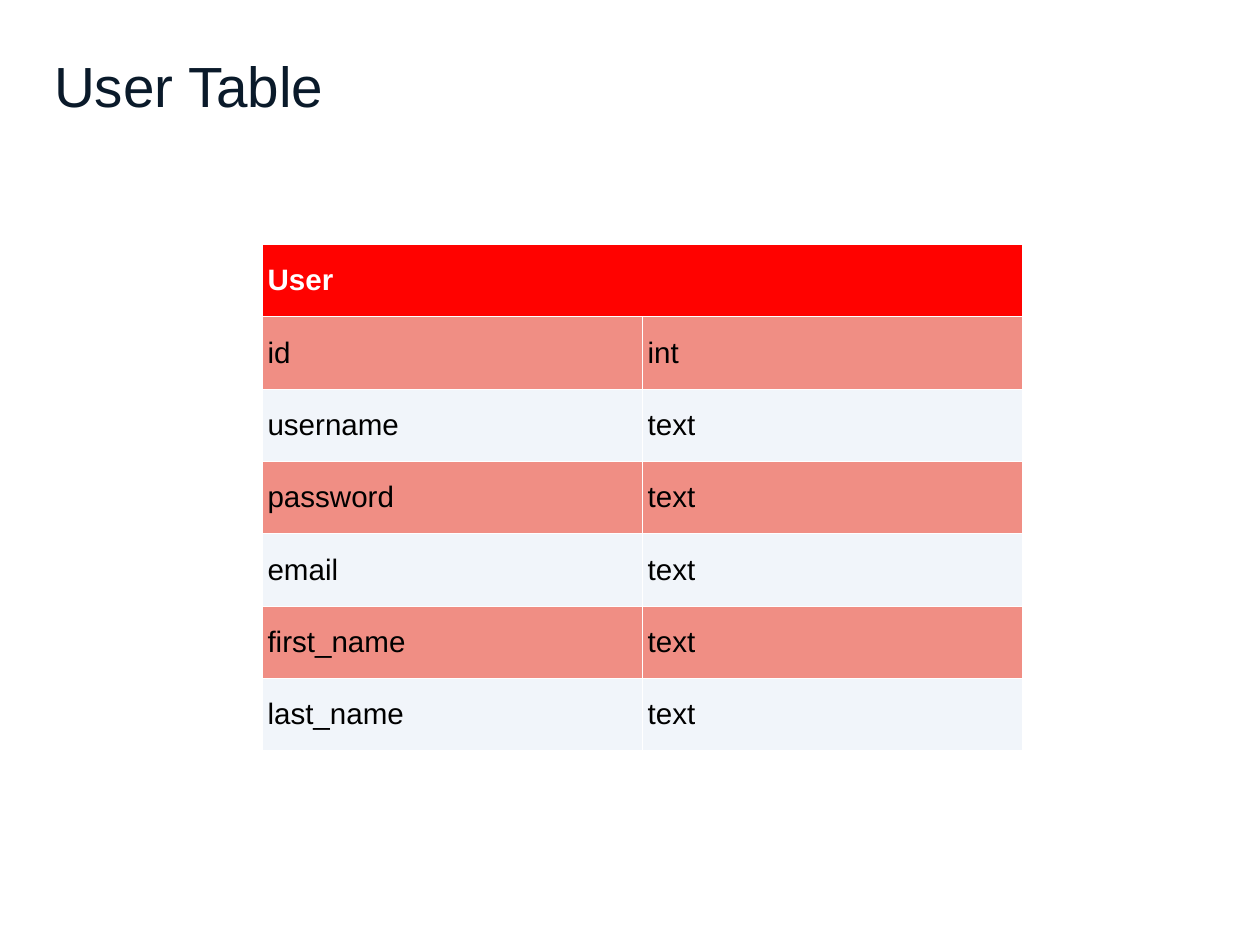
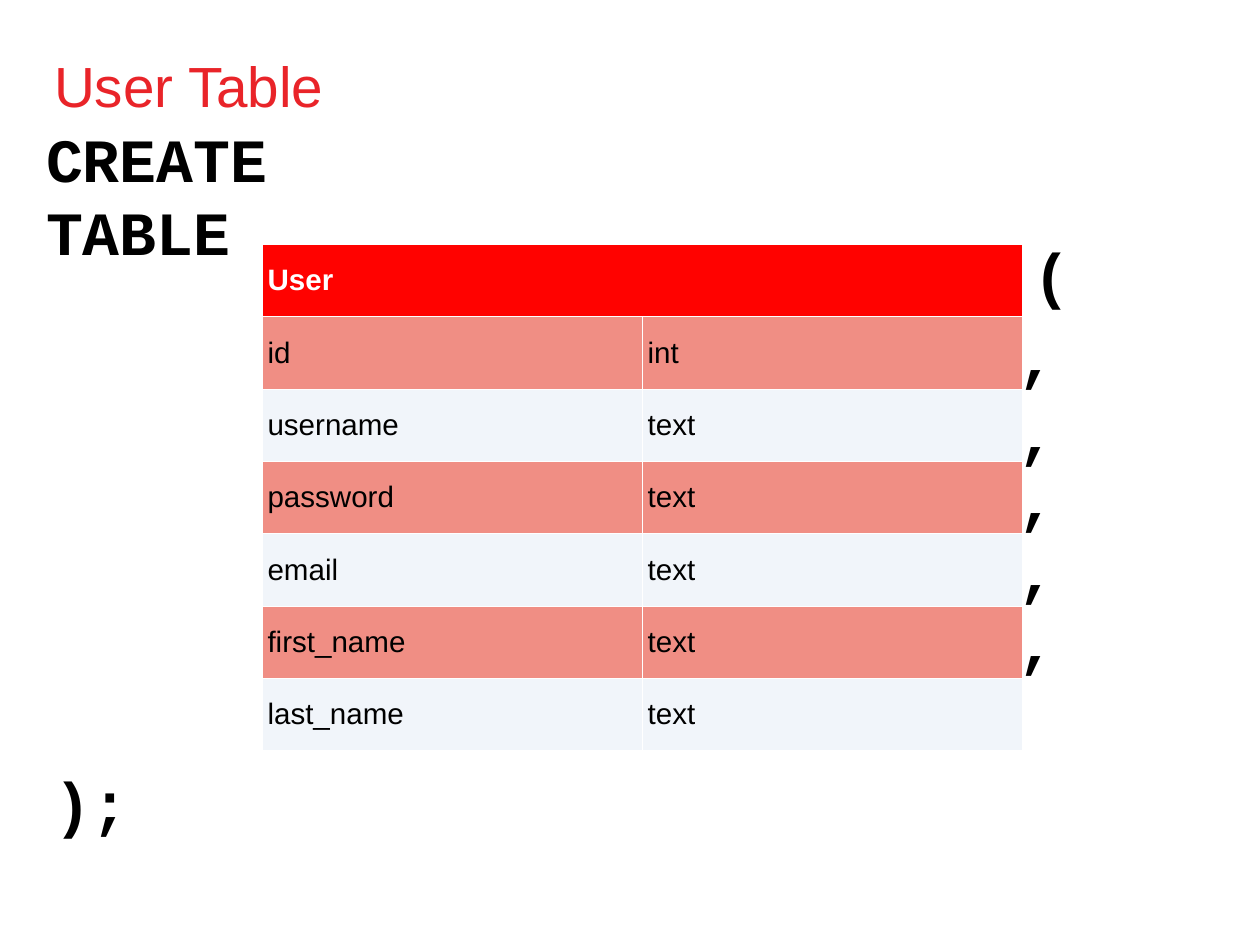
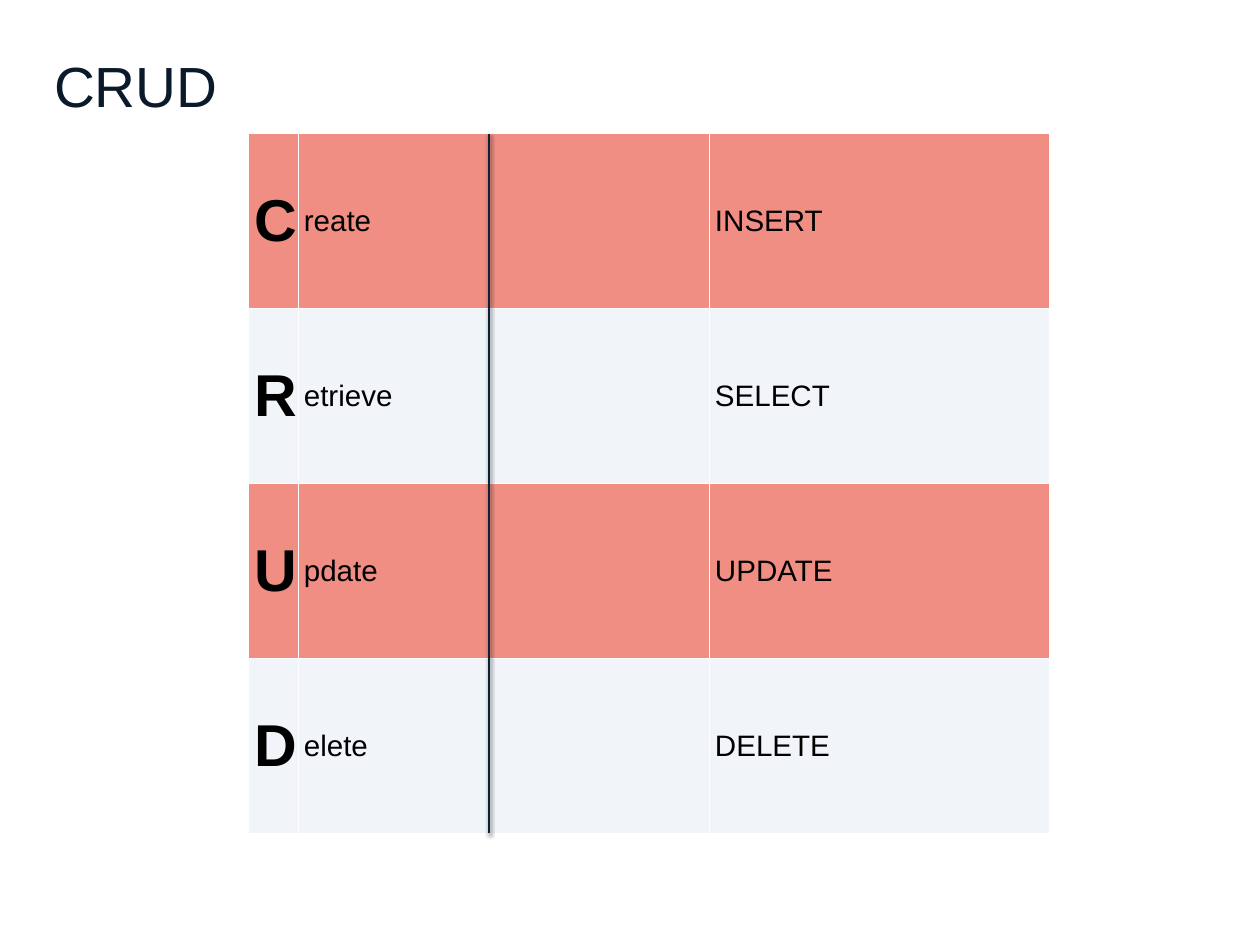
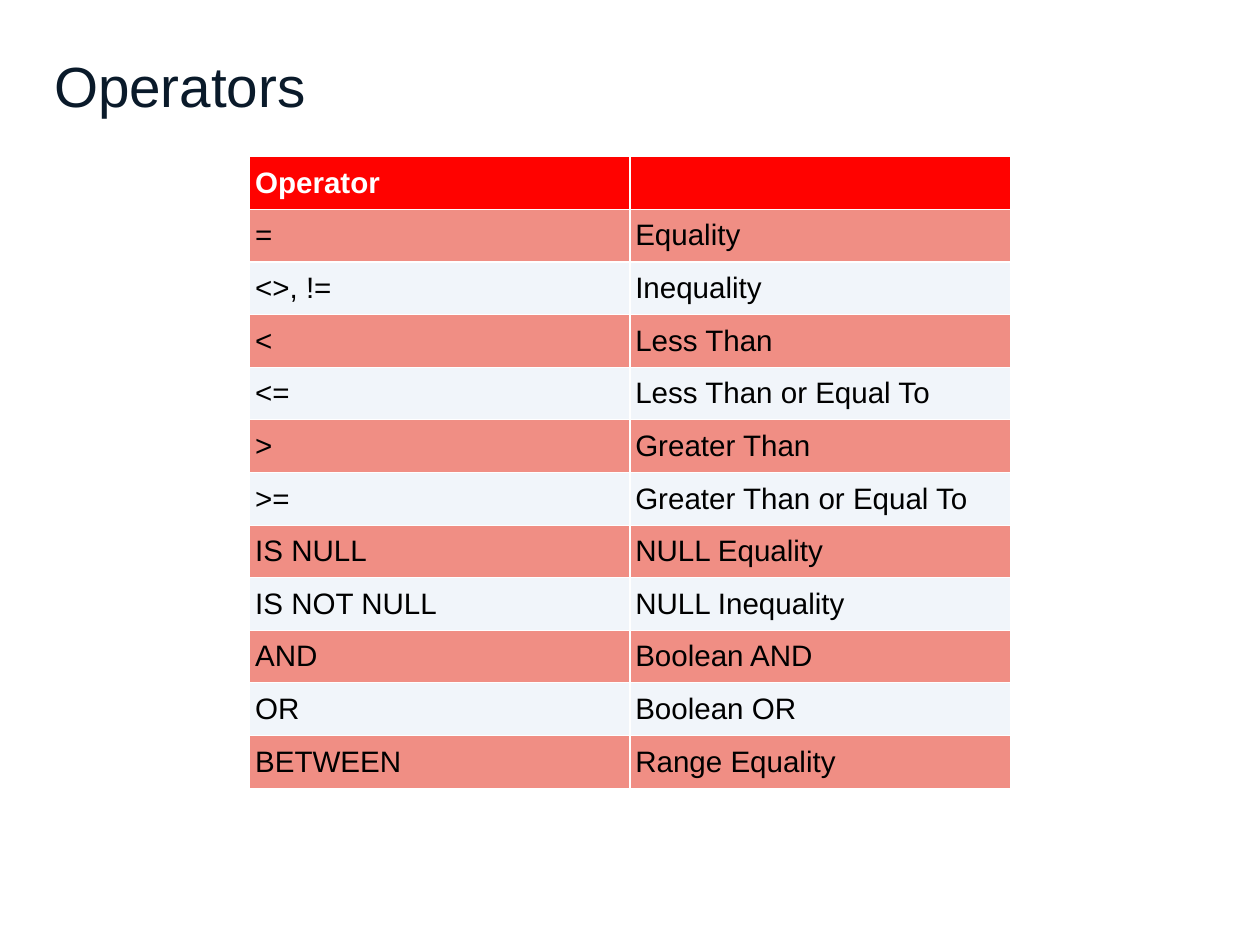
from lxml import etree
from pptx import Presentation
from pptx.dml.color import RGBColor
from pptx.enum.shapes import MSO_CONNECTOR
from pptx.enum.text import MSO_ANCHOR, MSO_AUTO_SIZE, PP_ALIGN
from pptx.oxml.ns import qn
from pptx.util import Inches, Pt

MIDDLE = MSO_ANCHOR.MIDDLE
LEFT = PP_ALIGN.LEFT
FIT_SHAPE = MSO_AUTO_SIZE.SHAPE_TO_FIT_TEXT
NO_FIT = MSO_AUTO_SIZE.NONE
STRAIGHT = MSO_CONNECTOR.STRAIGHT

TITLE_ONLY = 5
NAVY, RED, BLACK, WHITE = "0A1A2A", "E92429", "000000", "FFFFFF"
HEADER_FILL, BANDS = "FF0200", ("F08E84", "F1F5FA")
DIVIDER = "0D2134"
SANS, MONO = "Arial", "Courier New"

TITLE_BOX = (0.61, 0, 13, 1.98)
USER_BOX = (2.96, 2.76, 8.58, 5.72)
CRUD_BOX = (2.81, 1.51, 9.03, 7.9)
OPERATOR_BOX = (2.82, 1.77, 8.58, 7.13)

USER_ROWS = [
    ("User", ""),
    ("id", "int"),
    ("username", "text"),
    ("password", "text"),
    ("email", "text"),
    ("first_name", "text"),
    ("last_name", "text"),
]
CRUD_ROWS = [
    ("C", "reate", "INSERT"),
    ("R", "etrieve", "SELECT"),
    ("U", "pdate", "UPDATE"),
    ("D", "elete", "DELETE"),
]
OPERATOR_ROWS = [
    ("Operator", ""),
    ("=", "Equality"),
    ("<>, !=", "Inequality"),
    ("<", "Less Than"),
    ("<=", "Less Than or Equal To"),
    (">", "Greater Than"),
    (">=", "Greater Than or Equal To"),
    ("IS NULL", "NULL Equality"),
    ("IS NOT NULL", "NULL Inequality"),
    ("AND", "Boolean AND"),
    ("OR", "Boolean OR"),
    ("BETWEEN", "Range Equality"),
]
COMMA_TOPS = (3.51, 4.38, 5.13, 5.94, 6.74)
SQL_PIECES = [
    ("CREATE TABLE", (0.46, 1.7, 5.12, 0.99)),
    ("(", (11.6, 2.59, 0.54, 0.99)),
    *((",", (11.44, top, 0.54, 0.99)) for top in COMMA_TOPS),
    (");", (0.56, 8.56, 0.96, 0.99)),
]


def color(value):
    """Turn a hex string into a colour."""
    return RGBColor.from_string(value)


def lengths(box):
    """Turn a box in inches into lengths."""
    return [Inches(value) for value in box]


def write(para, text, size=24, font=SANS, ink=BLACK, bold=False):
    """Add formatted text to a paragraph."""
    span = para.add_run()
    span.text = text
    span.font.name = font
    span.font.size = Pt(size)
    span.font.bold = bold
    span.font.color.rgb = color(ink)


def set_margins(holder, inset):
    """Give a cell or text frame equal margins."""
    holder.margin_left = holder.margin_right = Inches(inset)
    holder.margin_top = holder.margin_bottom = Inches(inset)


def add_page(deck, title, ink=NAVY):
    """Add a slide with the shared title style."""
    page = deck.slides.add_slide(deck.slide_layouts[TITLE_ONLY])
    shape = page.shapes.title
    shape.left, shape.top, shape.width, shape.height = lengths(TITLE_BOX)
    frame = shape.text_frame
    frame.auto_size = NO_FIT
    frame.vertical_anchor = MIDDLE
    set_margins(frame, 0)
    para = frame.paragraphs[0]
    para.alignment = LEFT
    para.line_spacing = 0.95
    para.space_before = Pt(16)
    write(para, title, size=46, ink=ink)
    return page


def add_grid(page, box, rows, widths=None, header=True):
    """Place a banded table in a box, with equal columns unless widths are given."""
    column_count = len(rows[0])
    widths = widths or [box[2] / column_count] * column_count
    table = page.shapes.add_table(len(rows), column_count, *lengths(box)).table
    table.first_row = table.horz_banding = False
    for column, width in zip(table.columns, widths):
        column.width = Inches(width)
    for index, texts in enumerate(rows):
        table.rows[index].height = Inches(box[3] / len(rows))
        is_header = header and index == 0
        fill = HEADER_FILL if is_header else BANDS[(index - header) % 2]
        for position, text in enumerate(texts):
            cell = table.cell(index, position)
            cell.fill.solid()
            cell.fill.fore_color.rgb = color(fill)
            cell.vertical_anchor = MIDDLE
            set_margins(cell, 0.06)
            if text:
                is_initial = not header and position == 0
                write(cell.text_frame.paragraphs[0], text,
                      size=48 if is_initial else 24,
                      ink=WHITE if is_header else BLACK,
                      bold=is_header or is_initial)
    return table


def add_user_table(page):
    """Place the user table with its header across both columns."""
    table = add_grid(page, USER_BOX, USER_ROWS)
    table.cell(0, 0).merge(table.cell(0, 1))


def add_code(page, text, box):
    """Place a piece of SQL in a box."""
    frame = page.shapes.add_textbox(*lengths(box)).text_frame
    frame.word_wrap = False
    frame.auto_size = FIT_SHAPE
    frame.vertical_anchor = MIDDLE
    set_margins(frame, 0.06)
    write(frame.paragraphs[0], text, size=50, font=MONO, bold=True)


def add_divider(page, box, offset):
    """Draw a shadowed vertical line down a box."""
    left, top, _, height = box
    ends = (left + offset, top + height, left + offset, top)
    line = page.shapes.add_connector(STRAIGHT, *lengths(ends))
    line.line.color.rgb = color(DIVIDER)
    line.line.width = Pt(2)
    effects = etree.SubElement(line._element.spPr, qn("a:effectLst"))
    shadow = etree.SubElement(effects, qn("a:outerShdw"), blurRad=str(Pt(3)),
                              dist=str(Pt(1.6)), dir="5400000", rotWithShape="0")
    tint = etree.SubElement(shadow, qn("a:srgbClr"), val=BLACK)
    etree.SubElement(tint, qn("a:alpha"), val="38000")


def build_user(deck):
    """Show the user table."""
    add_user_table(add_page(deck, "User Table"))


def build_create(deck):
    """Show the user table inside a CREATE TABLE statement."""
    page = add_page(deck, "User Table", ink=RED)
    add_user_table(page)
    for text, box in SQL_PIECES:
        add_code(page, text, box)


def build_crud(deck):
    """Show the CRUD words beside their SQL commands."""
    page = add_page(deck, "CRUD")
    add_grid(page, CRUD_BOX, CRUD_ROWS, widths=(0.56, 4.64, 3.84), header=False)
    add_divider(page, CRUD_BOX, 2.71)


def build_operators(deck):
    """Show the operators and their meanings."""
    add_grid(add_page(deck, "Operators"), OPERATOR_BOX, OPERATOR_ROWS)


def main():
    """Build and save the deck."""
    deck = Presentation()
    deck.slide_width, deck.slide_height = Inches(14.22), Inches(10.67)
    for build in (build_user, build_create, build_crud, build_operators):
        build(deck)
    deck.save("out.pptx")


if __name__ == "__main__":
    main()
